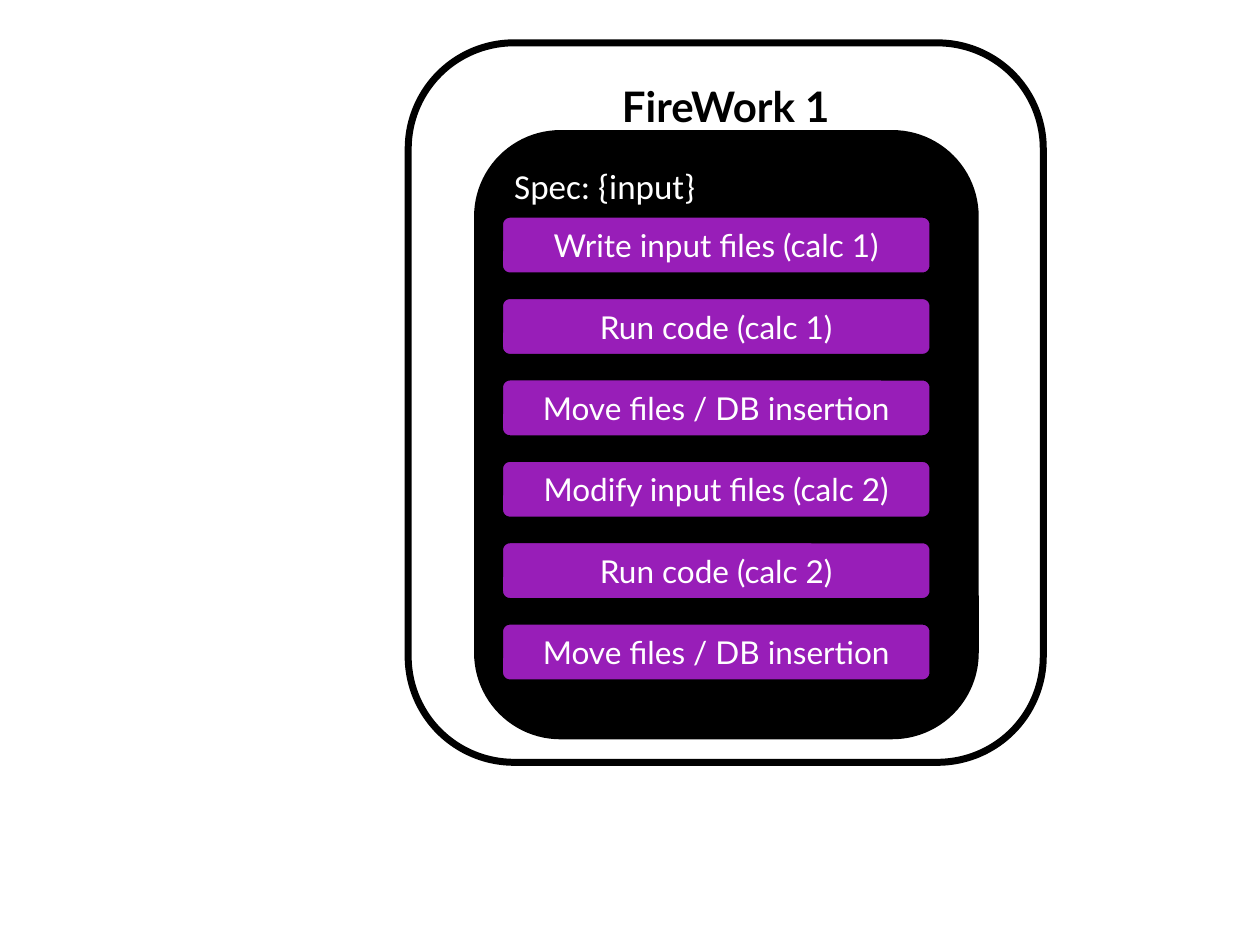
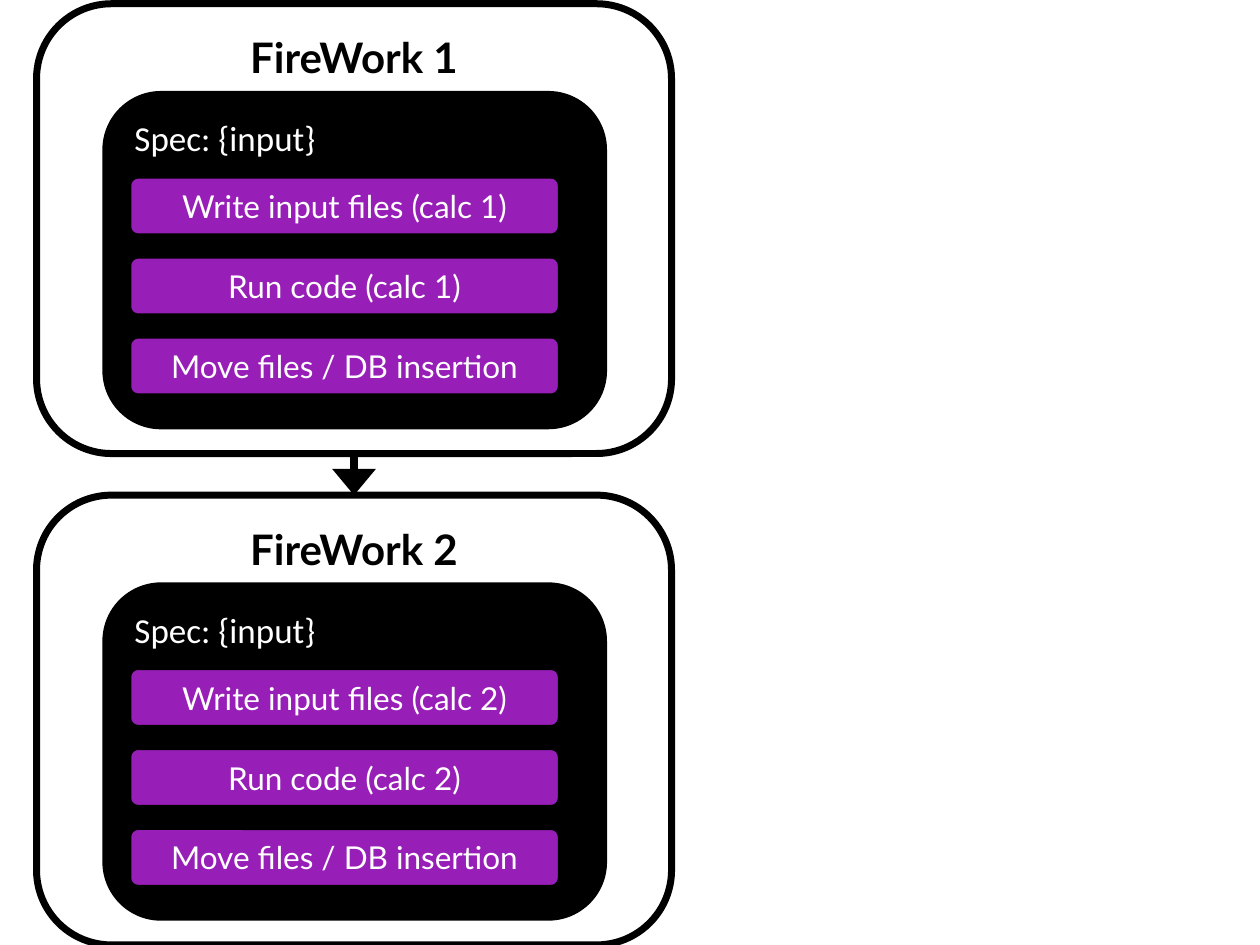
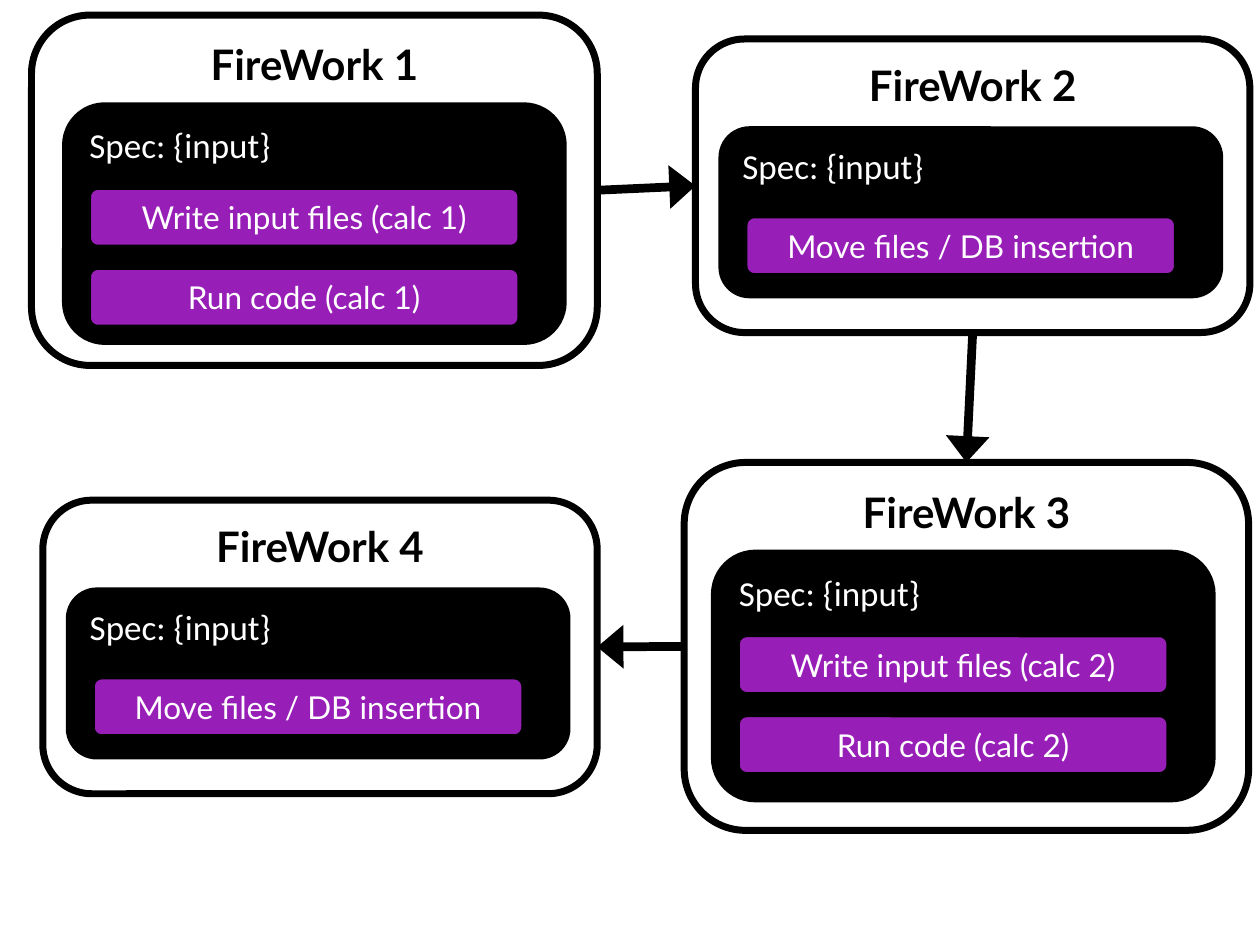
import pptx
import pptx.util
import pptx.dml.color
import pptx.enum.shapes
import pptx.enum.text
import lxml.etree

Pt = pptx.util.Pt
Kind = pptx.enum.shapes.MSO_SHAPE
Line = pptx.enum.shapes.MSO_CONNECTOR
Align = pptx.enum.text.PP_ALIGN
Anchor = pptx.enum.text.MSO_ANCHOR

deck = pptx.Presentation()
deck.slide_width = pptx.util.Inches(10)
deck.slide_height = pptx.util.Inches(7.5)
COL = deck.slide_width / 100   # the grid has 100 columns
ROW = deck.slide_height / 75   # and 75 rows

HEX = {"white": "FFFFFF", "black": "000000", "purple": "981EB8"}
HUE = {name: pptx.dml.color.RGBColor.from_string(code) for name, code in HEX.items()}

# Each look: fill, font colour, then font, paragraph and frame values
LOOKS = {
    "card": ("white", "black", {"name": "Lato", "size": Pt(24), "bold": True},
             {"alignment": Align.CENTER}, {"vertical_anchor": Anchor.TOP}),
    "panel": ("black", "white", {"name": "Calibri", "size": Pt(20)},
              {"alignment": Align.LEFT}, {"vertical_anchor": Anchor.TOP}),
    "step": ("purple", "white", {"name": "Lato", "size": Pt(18)},
             {"alignment": Align.CENTER}, {"vertical_anchor": Anchor.MIDDLE}),
}

# Sizes shared by all cards, in columns and rows
DROP = 7.2               # card top to panel top
WIDE = 39.5              # panel width
STEP_W, STEP_H = 34.4, 4.9
STEP_X = 1.75            # panel left to step left
TOP, LEFT, BASE, RIGHT = range(4)   # connection sites of a box


def box(slide, look, text, x, y, w, h):
    """Add a rounded box with text in one of the looks."""
    fill, ink, font, para, frame = LOOKS[look]
    item = slide.shapes.add_shape(Kind.ROUNDED_RECTANGLE, round(x * COL), round(y * ROW),
                                  round(w * COL), round(h * ROW))
    item.shadow.inherit = False
    item.fill.solid()
    item.fill.fore_color.rgb = HUE[fill]
    item.line.color.rgb = HUE["black"]
    item.line.width = Pt(4)
    body = item.text_frame
    body.text = text
    first = body.paragraphs[0]
    run = first.runs[0]
    run.font.color.rgb = HUE[ink]
    for part, values in ((run.font, font), (first, para), (body, frame)):
        for key, value in values.items():
            setattr(part, key, value)
    return item


def arrow(slide, start, out, end, into):
    """Link two boxes, from site to site, with an arrow."""
    link = slide.shapes.add_connector(Line.STRAIGHT, 0, 0, 0, 0)
    link.begin_connect(start, out)
    link.end_connect(end, into)
    link.line.color.rgb = HUE["black"]
    link.line.width = Pt(5)
    space = "{http://schemas.openxmlformats.org/drawingml/2006/main}"
    lxml.etree.SubElement(link.line._get_or_add_ln(), space + "tailEnd",
                          type="triangle", w="lg", len="med")
    lxml.etree.SubElement(link._element.spPr, space + "effectLst")


WRITE, RUN = "Write input files (calc {})", "Run code (calc {})"
MOVE, EDIT = "Move files / DB insertion", "Modify input files (calc {})"

# Card: x, y, w, h; panel inset and height; first step and pitch; steps with calc number
# Link: from card, site, to card, site
PAGES = [
    ([(32.4, 3.4, 50.4, 57.1, 5.5, 47.8, 6.4, 6.46,
       [(WRITE, 1), (RUN, 1), (MOVE, 1), (EDIT, 2), (RUN, 2), (MOVE, 2)])],
     []),
    ([(2.9, 0.3 + 39 * n, 50.4, 35.7, 5.5, 26.3, 6.4, 6.35,
       [(WRITE, n + 1), (RUN, n + 1), (MOVE, n + 1)]) for n in range(2)],
     [(1, BASE, 2, TOP)]),
    ([(2.5, 1.2, 44.9, 27.8, 2.7, 18.7, 6.4, 6.35, [(WRITE, 1), (RUN, 1)]),
      (55.2, 3.1, 44, 23.3, 2.1, 13.1, 6.75, 6.35, [(MOVE, 1)]),
      (54.3, 36.7, 44.8, 29.2, 2.4, 19.5, 6.4, 6.35, [(WRITE, 2), (RUN, 2)]),
      (3.4, 39.7, 44, 23.3, 2.1, 13.1, 6.75, 6.35, [(MOVE, 2)])],
     [(1, RIGHT, 2, LEFT), (2, BASE, 3, TOP), (3, LEFT, 4, RIGHT)]),
]

for cards, links in PAGES:
    slide = deck.slides.add_slide(deck.slide_layouts[6])
    made = {}
    for num, (x, y, w, h, inset, tall, first, pitch, steps) in enumerate(cards, 1):
        made[num] = box(slide, "card", f"FireWork {num}", x, y, w, h)
        left, top = x + inset, y + DROP
        box(slide, "panel", "Spec: {input}", left, top, WIDE, tall)
        for row, (text, calc) in enumerate(steps):
            box(slide, "step", text.format(calc), left + STEP_X,
                top + first + row * pitch, STEP_W, STEP_H)
    for start, out, end, into in links:
        arrow(slide, made[start], out, made[end], into)

deck.save("out.pptx")
